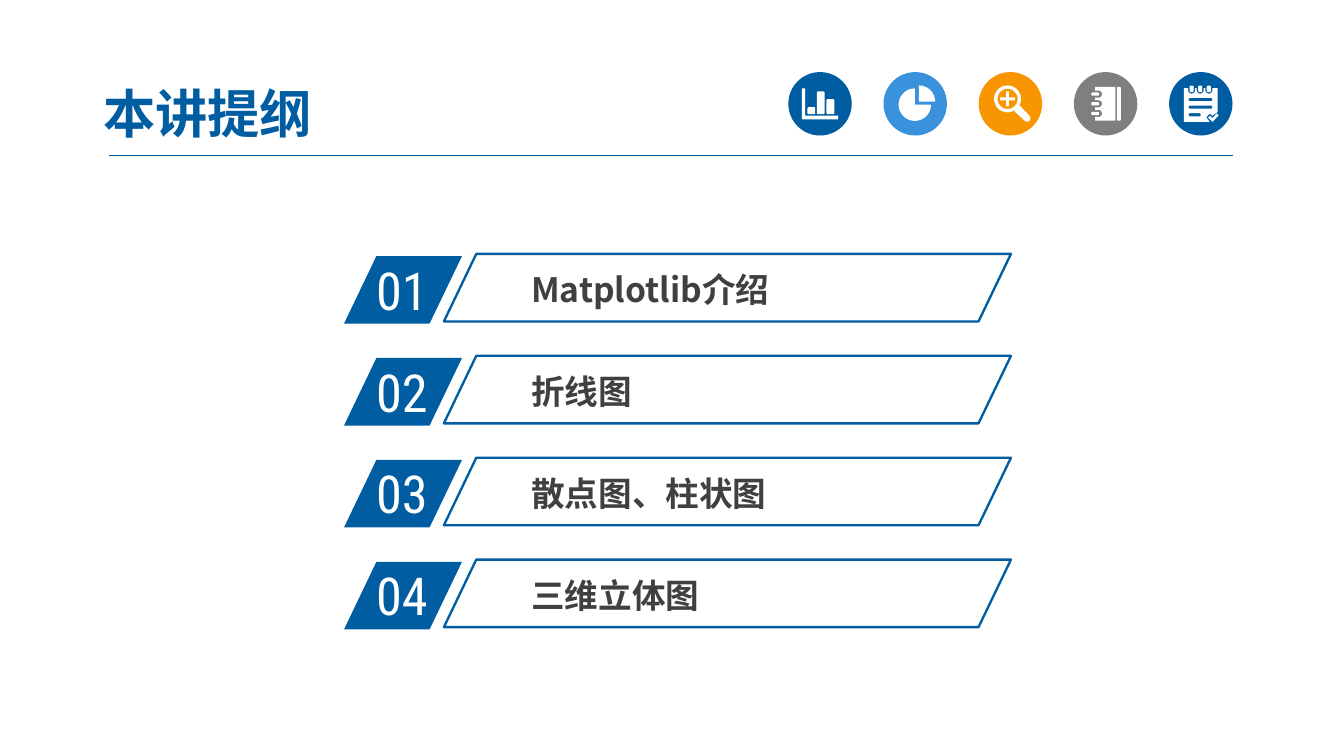
import math
from dataclasses import dataclass

from pptx import Presentation
from pptx.dml.color import RGBColor
from pptx.enum.shapes import MSO_CONNECTOR, MSO_SHAPE
from pptx.enum.text import MSO_ANCHOR, PP_ALIGN
from pptx.oxml.ns import qn
from pptx.util import Pt
from lxml import etree

PARALLELOGRAM, OVAL = MSO_SHAPE.PARALLELOGRAM, MSO_SHAPE.OVAL
STRAIGHT = MSO_CONNECTOR.STRAIGHT
TOP, MIDDLE = MSO_ANCHOR.TOP, MSO_ANCHOR.MIDDLE
LEFT, CENTER = PP_ALIGN.LEFT, PP_ALIGN.CENTER

COLORS = {
    "blue": "005DA2", "rule": "005B9E", "sky": "3992DB", "orange": "F79600",
    "gray": "7F7F7F", "text": "404040", "white": "FFFFFF",
}
CJK_FONT, NUMBER_FONT = "Noto Sans CJK SC", "Roboto Condensed"
TOPICS = ["Matplotlib介绍", "折线图", "散点图、柱状图", "三维立体图"]
ROW_TOP, ROW_PITCH, ROW_HEIGHT = 136, 54.6, 36.2
BADGE_SIZE, BADGE_PITCH = 34, 51
BADGE_LEFT, BADGE_TOP = 422.3, 38.6

Point = tuple[float, float]
Contour = list[Point]


@dataclass
class Box:
    left: float
    top: float
    width: float
    height: float

    def lengths(self) -> list[int]:
        return [Pt(v) for v in (self.left, self.top, self.width, self.height)]


@dataclass
class TextStyle:
    font: str
    size: float
    color: str
    bold: bool = False
    align: int = LEFT
    anchor: int = TOP
    inset_x: float = 7.2
    inset_y: float = 3.6


@dataclass
class Badge:
    color: str
    contours: list[Contour]


def rgb(name: str) -> RGBColor:
    return RGBColor.from_string(COLORS[name])


# Outlines in points, measured from the centre of a badge
def arc(x: float, y: float, radius: float, start: int, end: int) -> Contour:
    steps = max(4, abs(end - start) // 10)
    angles = [math.radians(start + (end - start) * i / steps) for i in range(steps + 1)]
    return [(x + radius * math.cos(a), y + radius * math.sin(a)) for a in angles]


def rounded(left: float, top: float, right: float, bottom: float, radius: float = 0.8) -> Contour:
    corners = [(right - radius, bottom - radius), (left + radius, bottom - radius),
               (left + radius, top + radius), (right - radius, top + radius)]
    return [point for i, (x, y) in enumerate(corners)
            for point in arc(x, y, radius, 90 * i, 90 * i + 90)]


def plus(x: float, y: float, reach: float, half: float) -> Contour:
    quarter = [(half, -reach), (half, -half), (reach, -half)]
    points = []
    for _ in range(4):
        points += [(x + dx, y + dy) for dx, dy in quarter]
        quarter = [(-dy, dx) for dx, dy in quarter]
    return points


def bar_icon() -> list[Contour]:
    axes = [(-9.7, -8.3), (-7.9, -8.3), (-7.9, 6.4), (9.7, 6.4), (9.7, 8.3), (-9.7, 8.3)]
    bars = [(-6.7, 1.8), (-1.7, -6.6), (3.5, -2.5)]
    return [axes] + [rounded(x, top, x + 4.2, 5.6) for x, top in bars]


def pie_icon() -> list[Contour]:
    return [[(2, -1.1)] + arc(2, -1.1, 8.7, -90, 0),
            [(-0.2, 0.5)] + arc(-0.2, 0.5, 8.7, 0, 270)]


def magnifier_icon() -> list[Contour]:
    x, y = -1.5, -2.6
    handle = [(2.2, 4.1), (7.8, 9.2), (9, 9.7), (10.4, 9), (10.8, 7.6), (10.2, 6.4), (5, 1)]
    return [arc(x, y, 7.2, 0, 360), arc(x, y, 5.4, 0, 360), plus(x, y, 4, 0.75), handle]


def notebook_icon() -> list[Contour]:
    ring_rows = [5.2, 0, -5.2]
    cover = [(5.2, -9), (5.2, 9), (-5.6, 9)]
    for y in ring_rows:
        cover += [(-5.6, y + 1.9), *arc(-3.8, y, 1.9, 90, -90), (-5.6, y - 1.9)]
    cover.append((-5.6, -9))
    rings = [rounded(-7.7, y - 0.85, -3.4, y + 0.85) for y in ring_rows]
    return [cover, rounded(6, -9, 8.2, 9), *rings]


def checklist_icon() -> list[Contour]:
    ring_columns = [-4.9, -0.3, 4.3]
    page = [(-9, -8.3)]
    for x in ring_columns:
        page += [(x - 1.9, -8.3), *arc(x, -7.3, 1.9, 180, 0), (x + 1.9, -8.3)]
    page += [(9, -8.3), (9, 4.5), (6.2, 6.4), (4.6, 5.4), (3, 7.3), (4.7, 9.7), (-9, 9.7)]
    check = [(3.9, 7.5), (5, 6.6), (6.3, 7.6), (8.6, 5.2), (9.6, 6.3), (6.3, 9.7)]
    rings = [rounded(x - 1.1, -9.7, x + 1.1, -6.2) for x in ring_columns]
    lines = [rounded(-6.5, y, right, y + 1.7)
             for y, right in [(-3.1, 6.2), (1, 6.2), (5.1, 0)]]
    return [page, check, *rings, *lines]


def add_text(slide, box: Box, text: str, style: TextStyle) -> None:
    frame = slide.shapes.add_textbox(*box.lengths()).text_frame
    frame.word_wrap = True
    frame.vertical_anchor = style.anchor
    frame.margin_left = frame.margin_right = Pt(style.inset_x)
    frame.margin_top = frame.margin_bottom = Pt(style.inset_y)
    paragraph = frame.paragraphs[0]
    paragraph.alignment = style.align
    run = paragraph.add_run()
    run.text = text
    run.font.name, run.font.size, run.font.bold = style.font, Pt(style.size), style.bold
    run.font.color.rgb = rgb(style.color)
    east_asian = etree.SubElement(run.font._element, qn("a:ea"))
    east_asian.set("typeface", style.font)


def paint(shape, fill: str | None = None, line: str | None = None) -> None:
    shape.shadow.inherit = False
    if fill:
        shape.fill.solid()
        shape.fill.fore_color.rgb = rgb(fill)
    else:
        shape.fill.background()
    if line:
        shape.line.color.rgb = rgb(line)
        shape.line.width = Pt(1.25)
    else:
        shape.line.fill.background()


def add_slanted(slide, box: Box, fill: str | None = None, line: str | None = None) -> None:
    shape = slide.shapes.add_shape(PARALLELOGRAM, *box.lengths())
    shape.adjustments[0] = 0.48
    paint(shape, fill, line)


def add_badge(slide, left: float, badge: Badge) -> None:
    box = Box(left, BADGE_TOP, BADGE_SIZE, BADGE_SIZE)
    paint(slide.shapes.add_shape(OVAL, *box.lengths()), badge.color)
    x, y = left + BADGE_SIZE / 2, BADGE_TOP + BADGE_SIZE / 2
    builder = None
    for contour in badge.contours:
        points = [(Pt(x + dx), Pt(y + dy)) for dx, dy in contour]
        if builder is None:
            builder = slide.shapes.build_freeform(*points[0])
        else:
            builder.move_to(*points[0])
        builder.add_line_segments(points[1:], close=True)
    paint(builder.convert_to_shape(), "white")


def main() -> None:
    presentation = Presentation()
    presentation.slide_width, presentation.slide_height = Pt(720), Pt(405)
    slide = presentation.slides.add_slide(presentation.slide_layouts[6])

    # Title and rule
    title_style = TextStyle(CJK_FONT, 28, "blue", True, CENTER, MIDDLE)
    add_text(slide, Box(42.5, 41, 137.5, 38.9), "本讲提纲", title_style)
    rule = slide.shapes.add_connector(STRAIGHT, Pt(58.4), Pt(83.4), Pt(660.4), Pt(83.4))
    rule.line.color.rgb = rgb("rule")
    rule.line.width = Pt(0.75)
    etree.SubElement(rule._element.spPr, qn("a:effectLst"))

    # Numbered topics
    number_style = TextStyle(NUMBER_FONT, 28, "white")
    topic_style = TextStyle(CJK_FONT, 18, "text", True, inset_x=5, inset_y=2.9)
    for index, topic in enumerate(TOPICS):
        top = ROW_TOP + index * ROW_PITCH
        add_slanted(slide, Box(184.3, top + 1.2, 63.2, ROW_HEIGHT), fill="blue")
        add_text(slide, Box(194.4, top - 1.4, 60.5, 41), f"{index + 1:02}", number_style)
        add_text(slide, Box(279.6, top + 5.2, 222.5, 27.4), topic, topic_style)
        add_slanted(slide, Box(237.8, top, 303.8, ROW_HEIGHT), line="blue")

    # Round badges
    badges = [Badge("blue", bar_icon()), Badge("sky", pie_icon()),
              Badge("orange", magnifier_icon()), Badge("gray", notebook_icon()),
              Badge("blue", checklist_icon())]
    for index, badge in enumerate(badges):
        add_badge(slide, BADGE_LEFT + index * BADGE_PITCH, badge)

    presentation.save("out.pptx")


if __name__ == "__main__":
    main()
